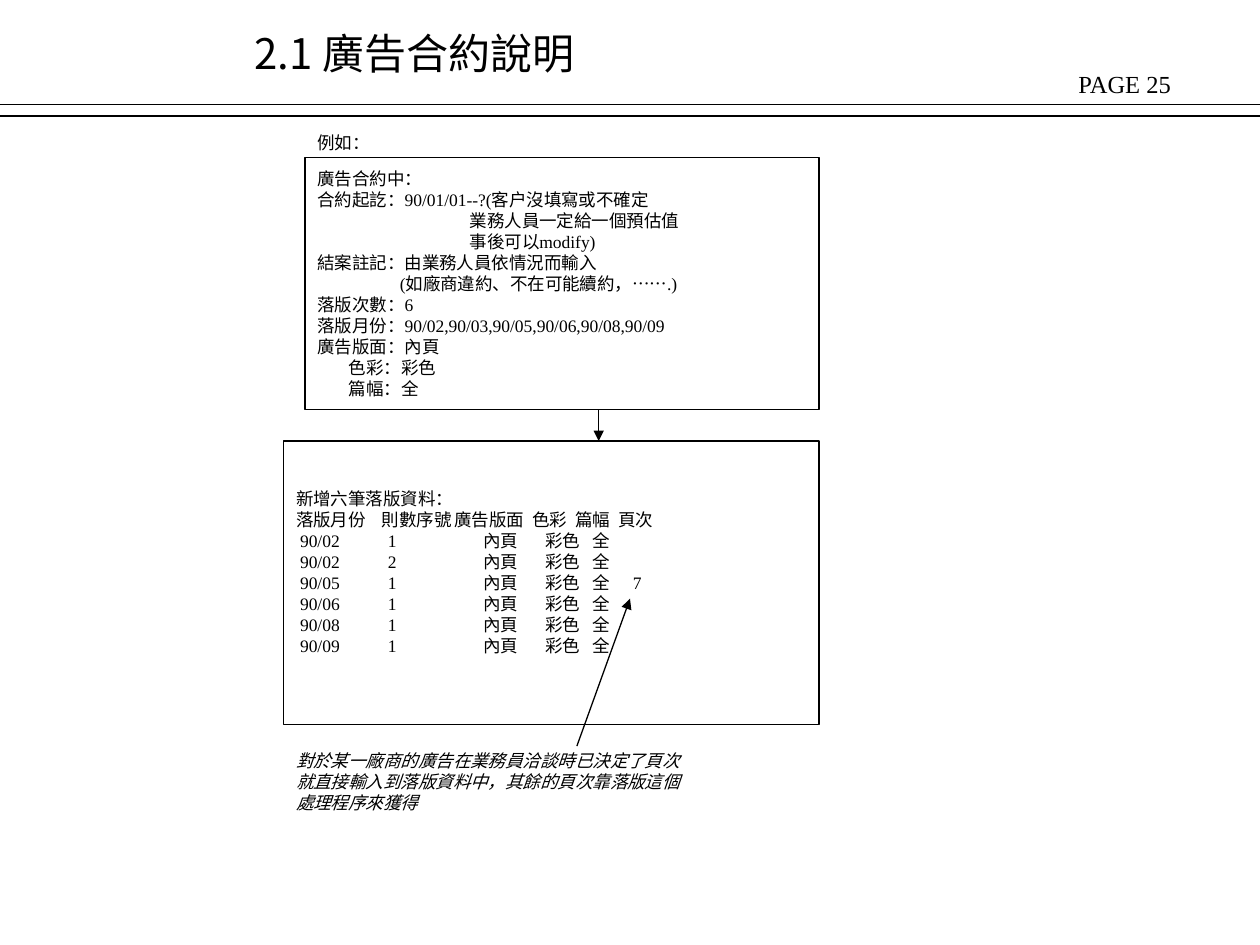
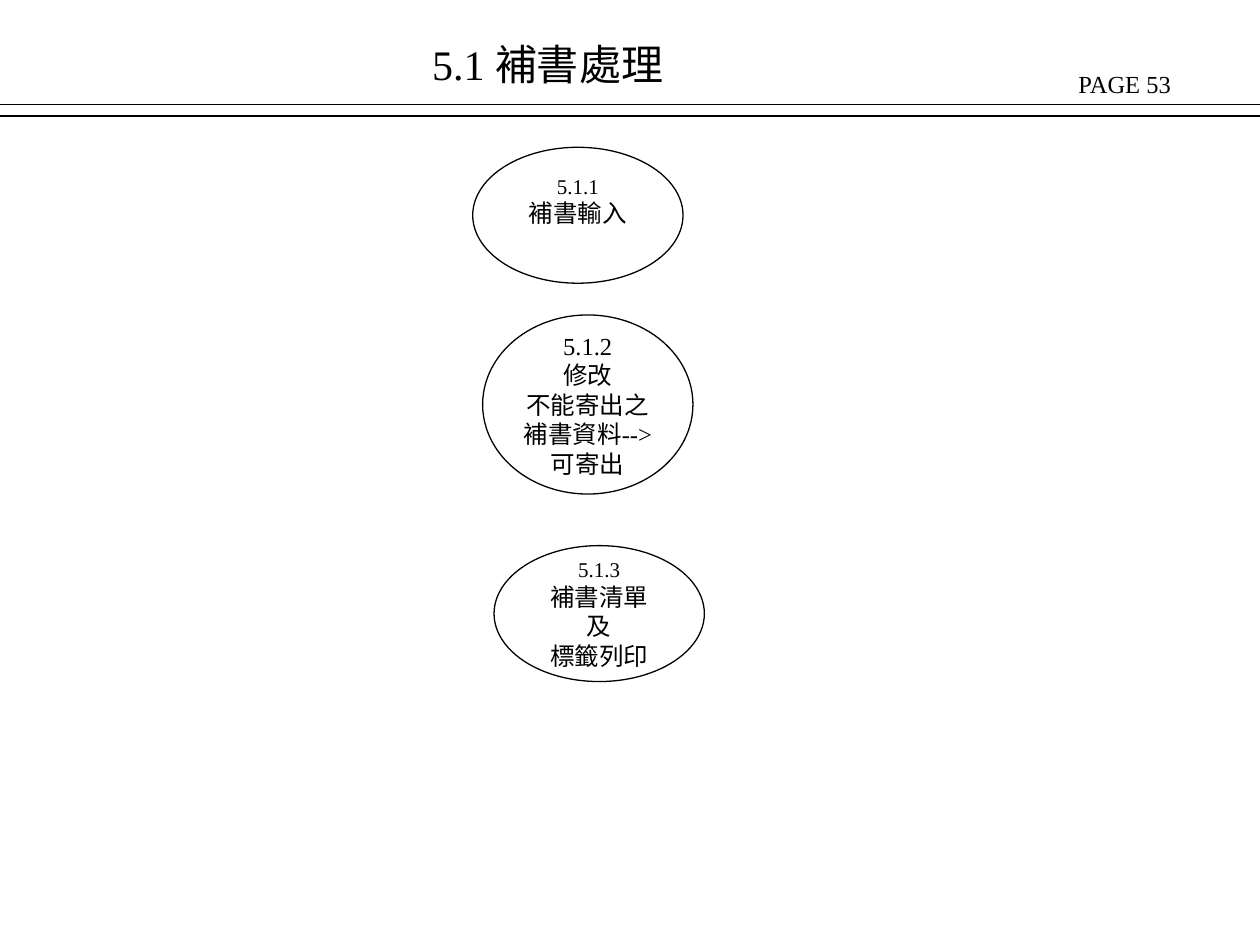
from pptx import Presentation
from pptx.dml.color import RGBColor
from pptx.enum.shapes import MSO_CONNECTOR, MSO_SHAPE
from pptx.enum.text import MSO_ANCHOR, PP_ALIGN
from pptx.oxml.ns import qn
from pptx.util import Cm, Pt
from lxml import etree

RECT, OVAL = MSO_SHAPE.RECTANGLE, MSO_SHAPE.OVAL
STRAIGHT = MSO_CONNECTOR.STRAIGHT
LEFT, CENTER = PP_ALIGN.LEFT, PP_ALIGN.CENTER
TOP, MIDDLE = MSO_ANCHOR.TOP, MSO_ANCHOR.MIDDLE
INK = "000000"
SERIF, SANS = "Times New Roman", "Noto Sans CJK TC"
BODY, LARGE, TITLE = 10, 14, 24
LINE_RATIO = 1.2
PAD_X, PAD_Y = 0.25, 0.13
SLIDE_W, SLIDE_H = 25.4, 19.05
RULE_TOPS = (2.11, 2.34)

CONTRACT_LINES = [
    (0, "廣告合約中："),
    (0, "合約起訖：90/01/01--?(客戶沒填寫或不確定"),
    (3.07, "業務人員一定給一個預估值"),
    (3.07, "事後可以modify)"),
    (0, "結案註記：由業務人員依情況而輸入"),
    (1.66, "(如廠商違約、不在可能續約，…….)"),
    (0, "落版次數：6"),
    (0, "落版月份：90/02,90/03,90/05,90/06,90/08,90/09"),
    (0, "廣告版面：內頁"),
    (0.63, "色彩：彩色"),
    (0.63, "篇幅：全"),
]
HEADINGS = ["落版月份", "則數序號", "廣告版面", "色彩", "篇幅", "頁次"]
HEADING_TABS = (1.73, 3.19, 4.76, 5.63, 6.49)
ENTRY_TABS = (0.08, 1.85, 3.77, 5.02, 5.97, 6.79)
ENTRIES = [("90/02", "1"), ("90/02", "2"), ("90/05", "1", "7"),
           ("90/06", "1"), ("90/08", "1"), ("90/09", "1")]
NOTE_LINES = ["對於某一廠商的廣告在業務員洽談時已決定了頁次",
              "就直接輸入到落版資料中，其餘的頁次靠落版這個",
              "處理程序來獲得"]
PROCESSES = [
    ((9.53, 2.97, 4.24, 2.74), 12, ["5.1.1", "補書輸入"], 0.59),
    ((9.73, 6.35, 4.24, 3.61), LARGE,
     ["5.1.2", "修改", "不能寄出之", "補書資料-->", "可寄出"], 0),
    ((9.96, 11, 4.24, 2.74), 12, ["5.1.3", "補書清單", "及", "標籤列印"], 0),
]


def color(value):
    """Return the colour for a hex string."""
    return RGBColor.from_string(value)


def setup_frame(tf, anchor=TOP, wrap=True, extra_bottom=0):
    """Set the insets, anchor and wrapping of a text frame."""
    tf.margin_left = tf.margin_right = Cm(PAD_X)
    tf.margin_top = Cm(PAD_Y)
    tf.margin_bottom = Cm(PAD_Y + extra_bottom)
    tf.vertical_anchor = anchor
    tf.word_wrap = wrap


def add_line(tf, text, size=BODY, font=SERIF, italic=False, align=LEFT,
             indent=0, tabs=()):
    """Write one paragraph, reusing the first one while it is empty."""
    p = tf.paragraphs[0]
    if p.runs:
        p = tf.add_paragraph()
    pPr = p._p.get_or_add_pPr()
    if indent:
        pPr.set("marL", str(Cm(indent)))
        pPr.set("indent", "0")
    if tabs:
        tab_list = etree.SubElement(pPr, qn("a:tabLst"))
        for pos in tabs:
            etree.SubElement(tab_list, qn("a:tab"), pos=str(Cm(pos)), algn="l")
    p.alignment = align
    p.line_spacing = Pt(size * LINE_RATIO)
    r = p.add_run()
    r.text = text
    r.font.size = Pt(size)
    r.font.name = font
    r.font.italic = italic
    r.font.color.rgb = color(INK)
    etree.SubElement(r._r.get_or_add_rPr(), qn("a:ea"), typeface=SANS)


def add_text(s, box, lines, **style):
    """Add a text box with one paragraph per line."""
    tf = s.shapes.add_textbox(*map(Cm, box)).text_frame
    setup_frame(tf)
    for line in lines:
        add_line(tf, line, **style)


def add_outline(s, kind, box, **frame):
    """Add an unfilled outlined shape and return its text frame."""
    sp = s.shapes.add_shape(kind, *map(Cm, box))
    sp.shadow.inherit = False
    sp.fill.background()
    sp.line.color.rgb = color(INK)
    sp.line.width = Pt(0.75)
    setup_frame(sp.text_frame, MIDDLE, **frame)
    return sp.text_frame


def add_rule(s, x1, y1, x2, y2, arrow=False):
    """Draw a thin line, with an arrowhead at its end if asked."""
    cx = s.shapes.add_connector(STRAIGHT, Cm(x1), Cm(y1), Cm(x2), Cm(y2))
    cx.line.color.rgb = color(INK)
    cx.line.width = Pt(0.75)
    if arrow:
        etree.SubElement(cx.line._get_or_add_ln(), qn("a:tailEnd"), type="triangle")
    etree.SubElement(cx._element.spPr, qn("a:effectLst"))


def add_page(prs, number, title, title_box, title_font):
    """Add a slide with its page number, title and double rule."""
    s = prs.slides.add_slide(prs.slide_layouts[6])
    add_text(s, (21.49, 1.27, 3.7, 0.86), [f"PAGE {number}"], size=LARGE)
    add_text(s, title_box, [title], size=TITLE, font=title_font)
    for top in RULE_TOPS:
        add_rule(s, 0, top, SLIDE_W, top)
    return s


def add_contract(s, box):
    """Add the example contract with its label above."""
    left, top, _, _ = box
    add_text(s, (left, top - 0.64, 2.54, 0.69), ["例如："])
    tf = add_outline(s, RECT, box)
    for indent, text in CONTRACT_LINES:
        add_line(tf, text, indent=indent)


def add_schedule(s, box):
    """Add the layout entries with the note that points at the page column."""
    left, top, _, height = box
    tf = add_outline(s, RECT, box, extra_bottom=0.42)
    add_line(tf, "新增六筆落版資料：")
    add_line(tf, "\t".join(HEADINGS), tabs=HEADING_TABS)
    for month, serial, *page in ENTRIES:
        cells = ["", month, serial, "內頁", "彩色", "全", *page]
        add_line(tf, "\t".join(cells), tabs=ENTRY_TABS)
    add_rule(s, left + 5.91, top + height + 0.43, left + 6.98, top + 3.18, arrow=True)
    add_text(s, (left, top + height + 0.38, 9.2, 1.52), NOTE_LINES, italic=True)


def add_process(s, box, number_size, lines, extra_bottom):
    """Add a process bubble with its number and name."""
    tf = add_outline(s, OVAL, box, wrap=False, extra_bottom=extra_bottom)
    number, *name = lines
    add_line(tf, number, size=number_size, align=CENTER)
    for text in name:
        add_line(tf, text, size=LARGE, align=CENTER)


def build_contract_slide(prs):
    """Build the slide that explains the advertising contract."""
    s = add_page(prs, 25, "2.1 廣告合約說明", (4.88, 0.43, 15.04, 1.27), SANS)
    add_contract(s, (6.15, 3.18, 10.36, 5.08))
    add_rule(s, 12.07, 8.26, 12.07, 8.89, arrow=True)
    add_schedule(s, (5.72, 8.89, 10.79, 5.72))


def build_process_slide(prs):
    """Build the slide of the reissue processes."""
    s = add_page(prs, 53, "5.1 補書處理", (8.46, 0.64, 10.16, 1.27), SERIF)
    for process in PROCESSES:
        add_process(s, *process)


def main():
    """Build and save the presentation."""
    prs = Presentation()
    prs.slide_width, prs.slide_height = Cm(SLIDE_W), Cm(SLIDE_H)
    build_contract_slide(prs)
    build_process_slide(prs)
    prs.save("out.pptx")


if __name__ == "__main__":
    main()
